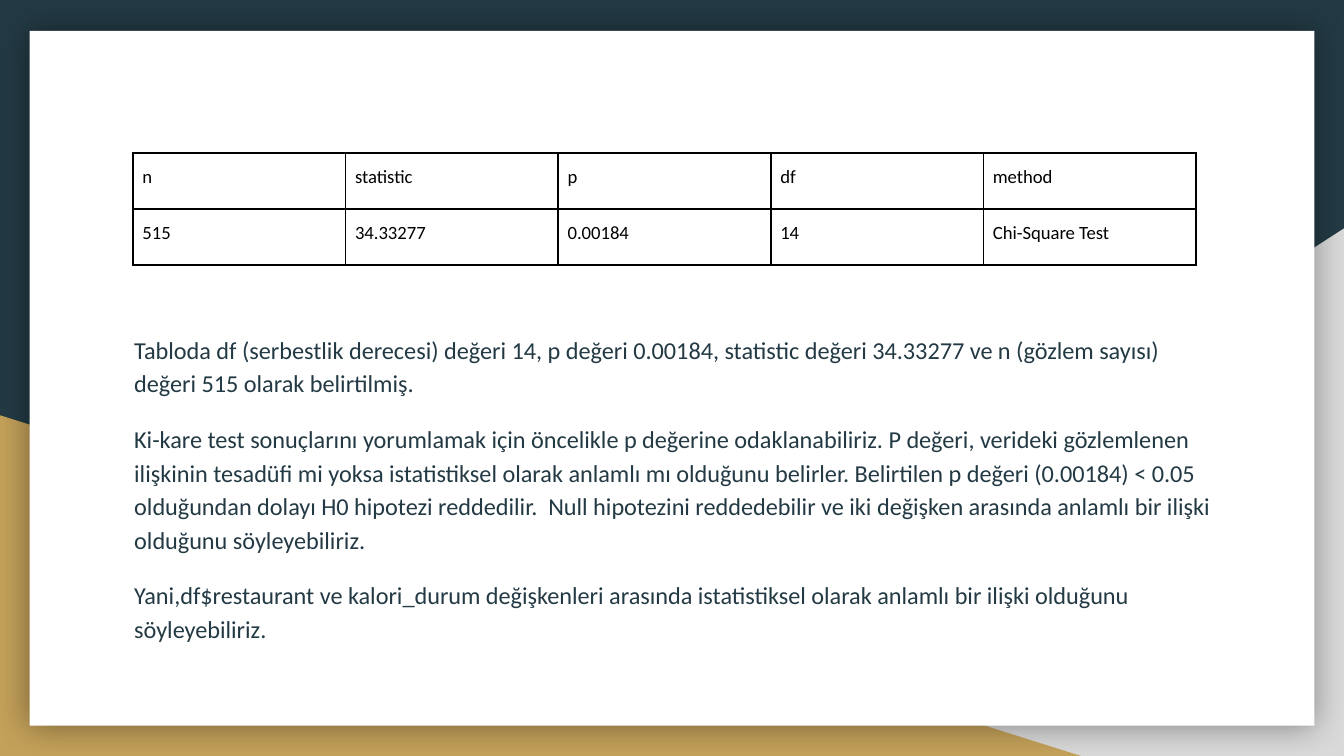
from lxml.etree import SubElement
from pptx import Presentation
from pptx.dml.color import RGBColor
from pptx.enum.shapes import MSO_SHAPE
from pptx.oxml.ns import qn
from pptx.util import Inches, Pt

COLORS = {
    "navy": "233A44",
    "gray": "D9D9D9",
    "gold": "C4A15A",
    "white": "FFFFFF",
    "black": "000000",
}
FONT = "Calibri"
LINE_SPACING = 1.15

TEST_RESULTS = [
    ["n", "statistic", "p", "df", "method"],
    ["515", "34.33277", "0.00184", "14", "Chi-Square Test"],
]
INTERPRETATION = [
    "Tabloda df (serbestlik derecesi) değeri 14, p değeri 0.00184, statistic "
    "değeri 34.33277 ve n (gözlem sayısı) değeri 515 olarak belirtilmiş.",
    "Ki-kare test sonuçlarını yorumlamak için öncelikle p değerine "
    "odaklanabiliriz. P değeri, verideki gözlemlenen ilişkinin tesadüfi mi "
    "yoksa istatistiksel olarak anlamlı mı olduğunu belirler. Belirtilen p "
    "değeri (0.00184) < 0.05 olduğundan dolayı H0 hipotezi reddedilir.  Null "
    "hipotezini reddedebilir ve iki değişken arasında anlamlı bir ilişki "
    "olduğunu söyleyebiliriz.",
    "Yani,df$restaurant ve kalori_durum değişkenleri arasında istatistiksel "
    "olarak anlamlı bir ilişki olduğunu söyleyebiliriz.",
]


def rgb(name):
    return RGBColor.from_string(COLORS[name])


def add_panel(slide, preset, left, top, width, height, color):
    panel = slide.shapes.add_shape(
        preset, Inches(left), Inches(top), Inches(width), Inches(height)
    )
    panel.shadow.inherit = False
    panel.fill.solid()
    panel.fill.fore_color.rgb = rgb(color)
    panel.line.fill.background()
    return panel


def add_soft_shadow(panel):
    effects = panel._element.spPr.find(qn("a:effectLst"))
    shadow = SubElement(
        effects, qn("a:outerShdw"), blurRad=str(Pt(18)), dist="0", dir="0",
        algn="ctr", rotWithShape="0",
    )
    tint = SubElement(shadow, qn("a:srgbClr"), val=COLORS["black"])
    SubElement(tint, qn("a:alpha"), val="40000")


def write_run(paragraph, text, size, color):
    paragraph.line_spacing = LINE_SPACING
    run = paragraph.add_run()
    run.text = text
    run.font.name = FONT
    run.font.size = Pt(size)
    run.font.color.rgb = rgb(color)


def set_margins(area, margin):
    area.margin_left = area.margin_right = Inches(margin)
    area.margin_top = area.margin_bottom = Inches(margin)


def add_cell_borders(cell):
    properties = cell._tc.get_or_add_tcPr()
    for side in ("lnL", "lnR", "lnT", "lnB"):
        border = SubElement(properties, qn(f"a:{side}"), w=str(Pt(1)))
        fill = SubElement(border, qn("a:solidFill"))
        SubElement(fill, qn("a:srgbClr"), val=COLORS["black"])


def add_results_table(slide, rows):
    table = slide.shapes.add_table(
        len(rows), len(rows[0]),
        Inches(0.99), Inches(1.14), Inches(7.91), Inches(0.83),
    ).table
    table.first_row = False
    table.horz_banding = False
    for row_index, values in enumerate(rows):
        for column_index, value in enumerate(values):
            cell = table.cell(row_index, column_index)
            set_margins(cell, 0.07)
            add_cell_borders(cell)
            cell.fill.background()
            write_run(cell.text_frame.paragraphs[0], value, 10, "black")


def add_interpretation(slide, paragraphs):
    frame = slide.shapes.add_textbox(
        Inches(0.9), Inches(2.36), Inches(8.21), Inches(2.7)
    ).text_frame
    frame.word_wrap = True
    set_margins(frame, 0.1)
    for index, text in enumerate(paragraphs):
        paragraph = frame.add_paragraph() if index else frame.paragraphs[0]
        paragraph.space_after = Pt(12)
        write_run(paragraph, text, 13, "navy")


def add_backdrop(slide):
    background = slide.background.fill
    background.solid()
    background.fore_color.rgb = rgb("navy")
    gray_corner = add_panel(
        slide, MSO_SHAPE.RIGHT_TRIANGLE, 3.92, 1.7, 6.08, 3.93, "gray"
    )
    gray_corner._element.spPr.find(qn("a:xfrm")).set("flipH", "1")
    add_panel(slide, MSO_SHAPE.RIGHT_TRIANGLE, 0, 3.09, 8.06, 2.54, "gold")
    page = add_panel(slide, MSO_SHAPE.RECTANGLE, 0.22, 0.23, 9.56, 5.17, "white")
    add_soft_shadow(page)


def main():
    presentation = Presentation()
    presentation.slide_width = Inches(10)
    presentation.slide_height = presentation.slide_width * 9 // 16
    slide = presentation.slides.add_slide(presentation.slide_layouts[6])
    add_backdrop(slide)
    add_interpretation(slide, INTERPRETATION)
    add_results_table(slide, TEST_RESULTS)
    presentation.save("out.pptx")


if __name__ == "__main__":
    main()
